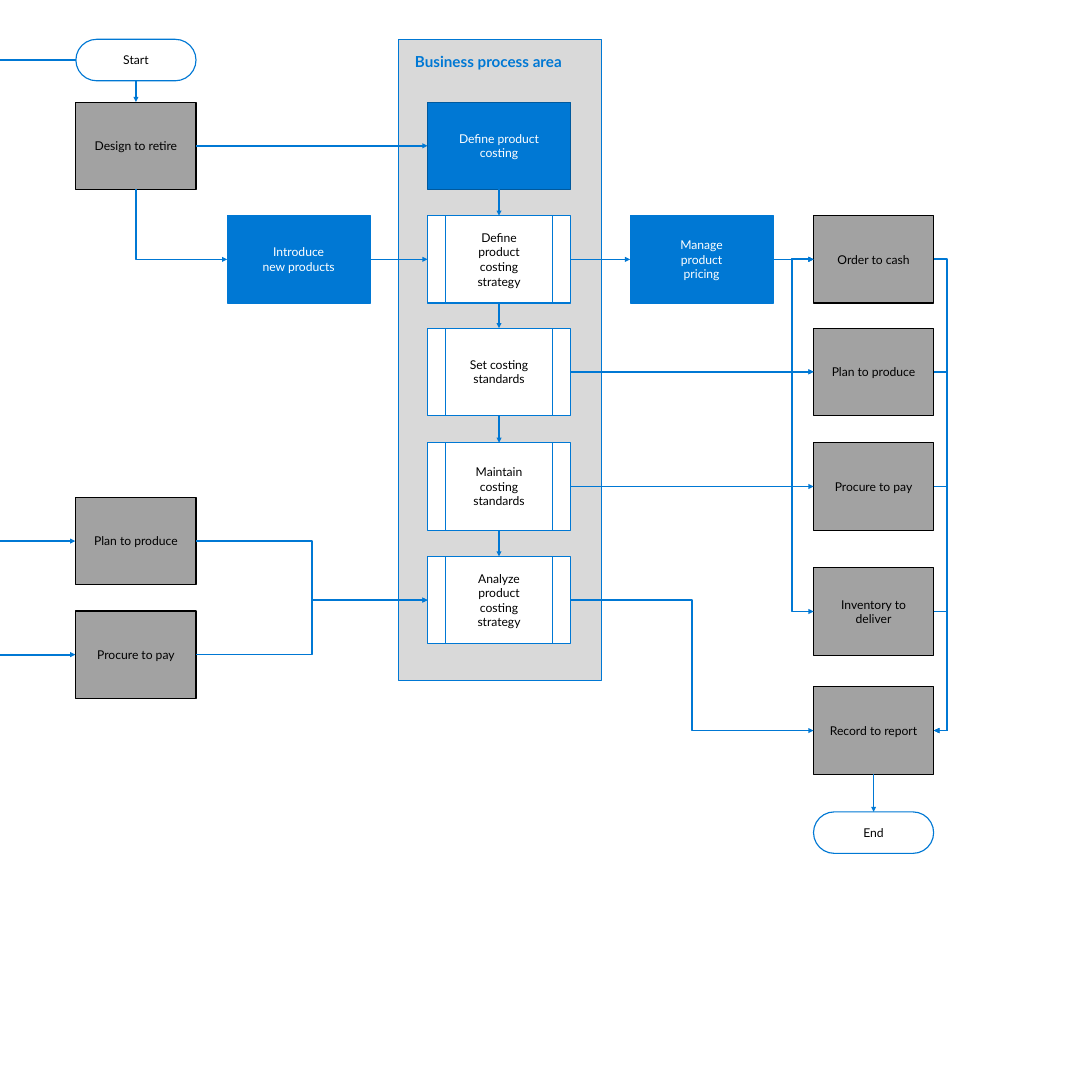
from lxml import etree
from pptx import Presentation
from pptx.dml.color import RGBColor
from pptx.enum.shapes import MSO_CONNECTOR, MSO_SHAPE
from pptx.enum.text import MSO_ANCHOR, PP_ALIGN
from pptx.oxml.ns import qn
from pptx.util import Inches, Pt

RECT = MSO_SHAPE.RECTANGLE
TERMINATOR = MSO_SHAPE.ROUNDED_RECTANGLE
PROCESS = MSO_SHAPE.FLOWCHART_PREDEFINED_PROCESS
STRAIGHT, ELBOW = MSO_CONNECTOR.STRAIGHT, MSO_CONNECTOR.ELBOW
TOP, LEFT, BOTTOM, RIGHT = range(4)
CORNER = "corner"

COLORS = {
    "blue": "0078D4", "dark_blue": "00599D", "panel": "D9D9D9",
    "gray": "A2A2A2", "white": "FFFFFF", "black": "000000",
}
# kind: preset, width, height, fill, line, text
STYLES = {
    "terminator": (TERMINATOR, 2.2, 0.76, "white", "blue", "black"),
    "external": (RECT, 2.2, 1.6, "gray", "black", "black"),
    "step": (PROCESS, 2.62, 1.6, "white", "blue", "black"),
    "neighbor": (PROCESS, 2.62, 1.6, "blue", "blue", "white"),
    "heading": (RECT, 2.62, 1.6, "blue", "dark_blue", "white"),
    "area": (RECT, 3.71, 11.75, "panel", "blue", "blue"),
}
X_IN, X_INTRO, X_STEP, X_PRICE, X_OUT = 1.39, 4.16, 7.83, 11.54, 14.9
X_TRUNK, X_REPORT, X_LEFT_EDGE = 14.5, 17.35, -0.2

# key: kind, left, top, label
NODES = {
    "area": ("area", 7.3, 0.72, "Business process area"),
    "start": ("terminator", X_IN, 0.72, "Start"),
    "design": ("external", X_IN, 1.87, "Design to retire"),
    "plan_in": ("external", X_IN, 9.11, "Plan to produce"),
    "procure_in": ("external", X_IN, 11.19, "Procure to pay"),
    "introduce": ("neighbor", X_INTRO, 3.95, "Introduce new products"),
    "define": ("heading", X_STEP, 1.87, "Define product costing"),
    "strategy": ("step", X_STEP, 3.95, "Define product costing strategy"),
    "set": ("step", X_STEP, 6.01, "Set costing standards"),
    "maintain": ("step", X_STEP, 8.11, "Maintain costing standards"),
    "analyze": ("step", X_STEP, 10.19, "Analyze product costing strategy"),
    "pricing": ("neighbor", X_PRICE, 3.95, "Manage product pricing"),
    "order": ("external", X_OUT, 3.95, "Order to cash"),
    "plan": ("external", X_OUT, 6.01, "Plan to produce"),
    "procure": ("external", X_OUT, 8.11, "Procure to pay"),
    "inventory": ("external", X_OUT, 10.4, "Inventory to deliver"),
    "record": ("external", X_OUT, 12.58, "Record to report"),
    "end": ("terminator", X_OUT, 14.87, "End"),
}

# from, side, to, side, x of the vertical run (None for a straight arrow)
LINKS = [
    ("design", RIGHT, "define", LEFT, None),
    ("plan_in", RIGHT, "analyze", LEFT, 5.71),
    ("procure_in", RIGHT, "analyze", LEFT, 5.71),
    ("design", BOTTOM, "introduce", LEFT, CORNER),
    ("introduce", RIGHT, "strategy", LEFT, None),
    ("strategy", RIGHT, "pricing", LEFT, None),
    ("pricing", RIGHT, "order", LEFT, None),
    ("set", RIGHT, "order", LEFT, X_TRUNK),
    ("maintain", RIGHT, "order", LEFT, X_TRUNK),
    ("maintain", RIGHT, "plan", LEFT, X_TRUNK),
    ("set", RIGHT, "plan", LEFT, None),
    ("maintain", RIGHT, "procure", LEFT, None),
    ("maintain", RIGHT, "inventory", LEFT, X_TRUNK),
    ("analyze", RIGHT, "record", LEFT, 12.67),
    ("record", BOTTOM, "end", TOP, None),
    ("start", BOTTOM, "design", TOP, None),
]
steps = ["define", "strategy", "set", "maintain", "analyze"]
LINKS += [(a, BOTTOM, b, TOP, None) for a, b in zip(steps, steps[1:])]
LINKS += [(source, RIGHT, "record", RIGHT, X_REPORT)
          for source in ("order", "plan", "procure", "inventory")]
LINKS += [("start", LEFT, target, LEFT, X_LEFT_EDGE)
          for target in ("plan_in", "procure_in")]


def rgb(name):
    return RGBColor.from_string(COLORS[name])


def bend(link, run_x):
    """Turn an elbow once at its corner, or place its vertical run at run_x."""
    geometry = link._element.spPr.find(qn("a:prstGeom"))
    if run_x == CORNER:
        geometry.set("prst", "bentConnector2")
        center_x, center_y = link.left + link.width // 2, link.top + link.height // 2
        width, height = link.height, link.width
        link.left, link.top = center_x - width // 2, center_y - height // 2
        link.width, link.height = width, height
        xfrm = link._element.spPr.find(qn("a:xfrm"))
        xfrm.set("rot", "16200000")
        xfrm.set("flipH", "1")
        return
    if link.begin_x == link.end_x:
        outward = 1 if Inches(run_x) > link.end_x else -1
        link.end_x = link.end_x + outward * Inches(0.01)
    share = (Inches(run_x) - link.begin_x) / (link.end_x - link.begin_x)
    guides = geometry.find(qn("a:avLst"))
    if guides is None:
        guides = etree.SubElement(geometry, qn("a:avLst"))
    etree.SubElement(guides, qn("a:gd"), name="adj1", fmla=f"val {round(share * 100000)}")


prs = Presentation()
prs.slide_width = prs.slide_height = Inches(20)
slide = prs.slides.add_slide(prs.slide_layouts[6])

placed = {}
for key, (kind, left, top, label) in NODES.items():
    preset, width, height, fill, outline, ink = STYLES[kind]
    node = slide.shapes.add_shape(
        preset, Inches(left), Inches(top), Inches(width), Inches(height))
    node.shadow.inherit = False
    node.fill.solid()
    node.fill.fore_color.rgb = rgb(fill)
    node.line.color.rgb = rgb(outline)
    node.line.width = Pt(1.5)
    if preset == TERMINATOR:
        node.adjustments[0] = 0.5

    is_area = kind == "area"
    frame = node.text_frame
    frame.text = label
    frame.word_wrap = True
    frame.margin_left = frame.margin_right = Inches(0.3)
    frame.margin_top = frame.margin_bottom = Inches(0.24)
    frame.vertical_anchor = MSO_ANCHOR.TOP if is_area else MSO_ANCHOR.MIDDLE
    paragraph = frame.paragraphs[0]
    paragraph.alignment = PP_ALIGN.LEFT if is_area else PP_ALIGN.CENTER
    font = paragraph.runs[0].font
    font.name = "Lato"
    font.size = Pt(20 if is_area else 16)
    font.bold = is_area
    font.color.rgb = rgb(ink)
    placed[key] = node

for source, exit_side, target, entry_side, run_x in LINKS:
    link = slide.shapes.add_connector(STRAIGHT if run_x is None else ELBOW, 0, 0, 0, 0)
    link.begin_connect(placed[source], exit_side)
    link.end_connect(placed[target], entry_side)
    if run_x is not None:
        bend(link, run_x)
    link.line.color.rgb = rgb("blue")
    link.line.width = Pt(2.25)
    etree.SubElement(link.line._get_or_add_ln(), qn("a:tailEnd"), type="triangle")
    etree.SubElement(link._element.spPr, qn("a:effectLst"))

prs.save("out.pptx")
